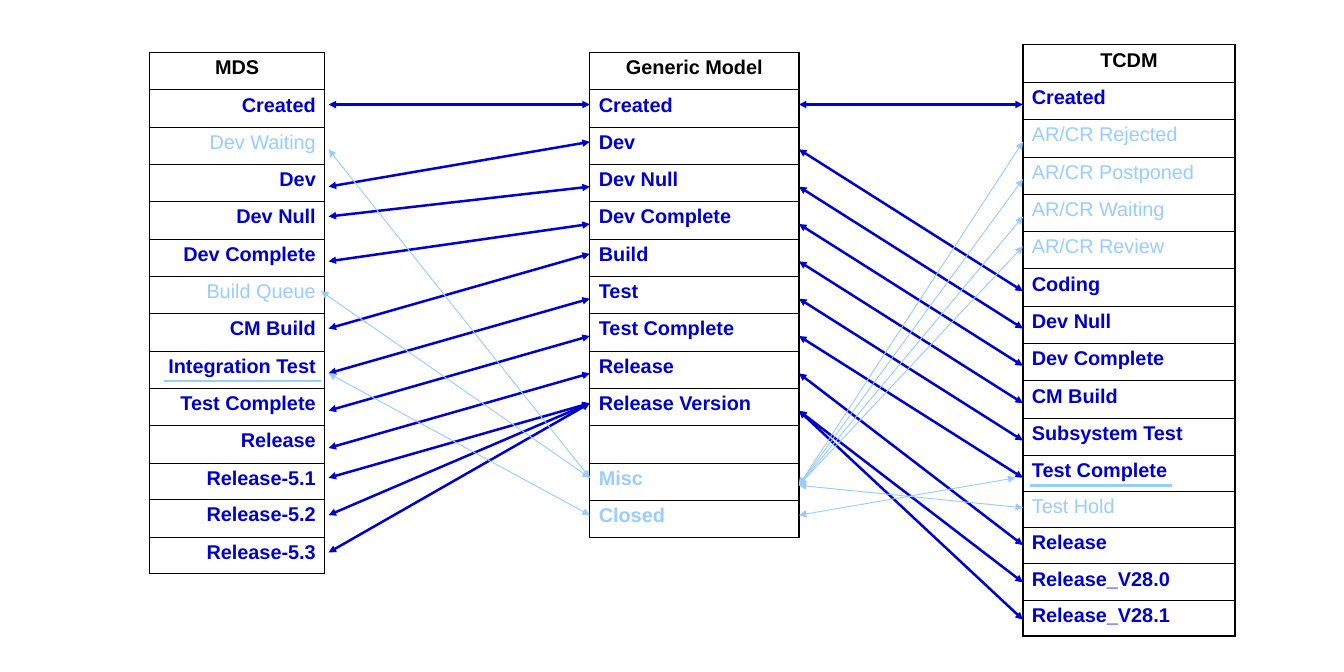
from lxml.etree import SubElement
from pptx import Presentation
from pptx.dml.color import RGBColor
from pptx.enum.shapes import MSO_CONNECTOR
from pptx.enum.text import PP_ALIGN
from pptx.oxml import parse_xml
from pptx.oxml.ns import nsdecls, qn
from pptx.util import Cm, Pt

BLACK, WHITE, DARK, LIGHT = "000000", "FFFFFF", "0000CC", "99CCFF"
THICK, THIN = 1.08, 0.45
ROW = 5
MDS_X, MODEL_X, TCDM_X = 20, 79, 137
MDS_EDGE, MODEL_EDGE = 44, 107

MDS = ["MDS", "Created", "Dev Waiting", "Dev", "Dev Null", "Dev Complete",
       "Build Queue", "CM Build", "Integration Test", "Test Complete",
       "Release", "Release-5.1", "Release-5.2", "Release-5.3"]
MODEL = ["Generic Model", "Created", "Dev", "Dev Null", "Dev Complete", "Build",
         "Test", "Test Complete", "Release", "Release Version", "", "Misc", "Closed"]
TCDM = ["TCDM", "Created", "AR/CR Rejected", "AR/CR Postponed", "AR/CR Waiting",
        "AR/CR Review", "Coding", "Dev Null", "Dev Complete", "CM Build",
        "Subsystem Test", "Test Complete", "Test Hold", "Release",
        "Release_V28.0", "Release_V28.1"]
UNMAPPED = {"Dev Waiting", "Build Queue", "AR/CR Rejected", "AR/CR Postponed",
            "AR/CR Waiting", "AR/CR Review", "Test Hold"}
CATCH_ALL = {"Misc", "Closed"}

MDS_LINKS = [(14, 14), (25, 19), (35, 30), (44, 34), (50, 40), (55, 45), (60, 50),
             (64, 54), (69, 54), (74, 54), (29, 25)]
TCDM_LINKS = [(14, 14), (39, 20), (44, 25), (49, 30), (54, 35), (59, 40), (64, 45),
              (73, 50), (78, 55), (83, 55)]
LIGHT_LINKS = [(MDS_EDGE, 50, MODEL_X, 69), (136, 64, MODEL_EDGE, 69),
               (43, 39, MODEL_X, 64), (MDS_EDGE, 20, MODEL_X, 64)]
MISC_ROWS = [68, 33, 29, 24, 19]
UNDERLINES = [(22, 51, 43, 51), (138, 65, 157, 65)]


def unit(n):
    """Return n twelfths of an inch as a length."""
    return Cm(n * 2.54 / 12)


def color(value):
    """Return the colour for a hex string."""
    return RGBColor.from_string(value)


def add_borders(cell, first, last):
    """Draw the four black borders of a cell."""
    widths = {"L": THICK, "R": THICK, "T": THICK if first else THIN,
              "B": THICK if last else THIN}
    tcPr = cell._tc.get_or_add_tcPr()
    for side, width in widths.items():
        tcPr.append(parse_xml(
            f'<a:ln{side} {nsdecls("a")} w="{Pt(width)}"><a:solidFill>'
            f'<a:srgbClr val="{BLACK}"/></a:solidFill></a:ln{side}>'))


def style_text(p, label, header, align):
    """Write a label with the look of its state."""
    p.text = label
    p.alignment = PP_ALIGN.CENTER if header else align
    font = p.font
    font.name, font.size = "Arial", Pt(16)
    font.bold = label not in UNMAPPED
    pale = label in UNMAPPED | CATCH_ALL
    font.color.rgb = color(BLACK if header else LIGHT if pale else DARK)


def add_states(s, labels, x, y, width, heights=None, align=PP_ALIGN.LEFT, fill=None):
    """Add a one-column table of states."""
    heights = [ROW] * (len(labels) - len(heights or [])) + (heights or [])
    frame = s.shapes.add_table(len(labels), 1, unit(x), unit(y), unit(width),
                               unit(sum(heights)))
    table = frame.table
    table.first_row = table.horz_banding = False
    for i, (label, height) in enumerate(zip(labels, heights)):
        table.rows[i].height = unit(height)
        cell = table.cell(i, 0)
        add_borders(cell, i == 0, i == len(labels) - 1)
        if fill:
            cell.fill.solid()
            cell.fill.fore_color.rgb = color(fill)
        else:
            cell.fill.background()
        style_text(cell.text_frame.paragraphs[0], label, i == 0, align)


def add_line(s, points, hue, width, arrows=True):
    """Add a straight line, with arrowheads at both ends if wanted."""
    line = s.shapes.add_connector(MSO_CONNECTOR.STRAIGHT, *map(unit, points))
    line.line.color.rgb = color(hue)
    line.line.width = Pt(width)
    if arrows:
        ln = line.line._get_or_add_ln()
        for end in ("a:headEnd", "a:tailEnd"):
            SubElement(ln, qn(end), type="triangle")
    SubElement(line._element.spPr, qn("a:effectLst"))


def main():
    """Build the state mapping slide."""
    prs = Presentation()
    prs.slide_width, prs.slide_height = Cm(38.1), Cm(19.05)
    s = prs.slides.add_slide(prs.slide_layouts[6])

    add_states(s, MDS, MDS_X, 7, 23.5, [4.84, 5.16, 4.84], PP_ALIGN.RIGHT, WHITE)
    add_states(s, TCDM, TCDM_X, 6, 28.4, [4.84] * 5)
    add_states(s, MODEL, MODEL_X, 7, 28)

    for y1, y2 in MDS_LINKS:
        add_line(s, (MDS_EDGE, y1, MODEL_X, y2), DARK, 2)
    for y1, y2 in TCDM_LINKS:
        add_line(s, (TCDM_X, y1, MODEL_EDGE, y2), DARK, 2)
    for points in LIGHT_LINKS + [(TCDM_X, y, MODEL_EDGE, 65) for y in MISC_ROWS]:
        add_line(s, points, LIGHT, 0.75)
    for points in UNDERLINES:
        add_line(s, points, LIGHT, 2, arrows=False)

    prs.save("out.pptx")


if __name__ == "__main__":
    main()
